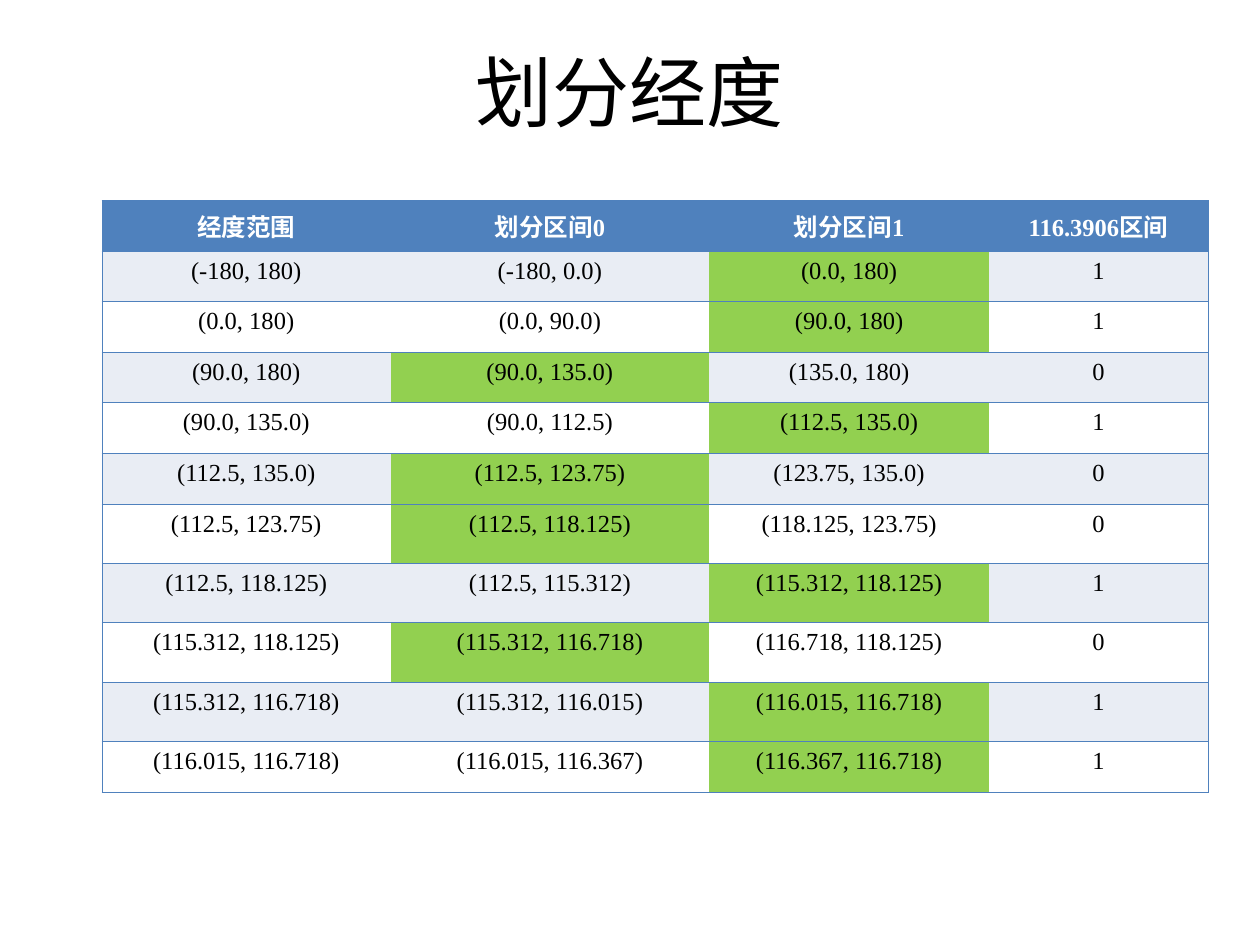
from lxml import etree
from pptx import Presentation, util as u
from pptx.dml.color import RGBColor
from pptx.enum import text as t
from pptx.oxml.ns import qn

BLUE, GREEN, BAND, WHITE, BLACK = "4F81BD", "92D050", "E9EDF4", "FFFFFF", "000000"
PLAIN_TABLE_STYLE = "{2D5ABB26-0587-4C30-8999-92F81FD0307C}"
LONGITUDE = 116.3906
MIDPOINTS = ["0.0", "90.0", "135.0", "112.5", "123.75",
             "118.125", "115.312", "116.718", "116.015", "116.367"]
HEADINGS = ["经度范围", "划分区间0", "划分区间1", f"{LONGITUDE}区间"]
COLUMN_WEIGHTS = [2.29, 2.53, 2.22, 1.74]
ROW_WEIGHTS = [0.4] * 6 + [0.47] * 4 + [0.4]


def colour(value):
    return RGBColor.from_string(value)


def write(frame, content, size, font, color=BLACK, bold=False):
    frame.word_wrap = True
    paragraph = frame.paragraphs[0]
    paragraph.alignment = t.PP_ALIGN.CENTER
    run = paragraph.add_run()
    run.text = content
    run.font.size = u.Pt(size)
    run.font.name = font
    run.font.bold = bold
    run.font.color.rgb = colour(color)


def add_borders(cell, sides):
    """Draw thin blue lines on the sides named by letters of "LRTB", in that order."""
    properties = cell._tc.get_or_add_tcPr()
    for side in sides:
        line = etree.SubElement(properties, qn(f"a:ln{side}"), w=str(u.Pt(0.45)))
        fill = etree.SubElement(line, qn("a:solidFill"))
        etree.SubElement(fill, qn("a:srgbClr"), val=BLUE)


def bisection_rows():
    """Halve the range repeatedly, keeping the half that holds the longitude."""
    low, high = "-180", "180"
    for middle in MIDPOINTS:
        bit = int(LONGITUDE > float(middle))
        yield [f"({low}, {high})", f"({low}, {middle})", f"({middle}, {high})", str(bit)]
        low, high = (middle, high) if bit else (low, middle)


def add_title(slide, box, content):
    title = slide.shapes.title
    title.left, title.top, title.width, title.height = box
    title.text_frame.vertical_anchor = t.MSO_ANCHOR.TOP
    title.text_frame.auto_size = t.MSO_AUTO_SIZE.NONE
    write(title.text_frame, content, 44, "Arial")


def share_out(tracks, weights, total, attribute):
    for track, weight in zip(tracks, weights):
        setattr(track, attribute, int(total * weight / sum(weights)))


def add_bisection_table(slide, box):
    rows = [HEADINGS, *bisection_rows()]
    last = len(HEADINGS) - 1
    table = slide.shapes.add_table(len(rows), len(HEADINGS), *box).table
    table._tbl.tblPr.find(qn("a:tableStyleId")).text = PLAIN_TABLE_STYLE
    share_out(table.columns, COLUMN_WEIGHTS, box[2], "width")
    share_out(table.rows, ROW_WEIGHTS, box[3], "height")
    for r, values in enumerate(rows):
        header = r == 0
        for c, value in enumerate(values):
            cell = table.cell(r, c)
            cell.margin_left = cell.margin_right = u.Inches(0.08)
            cell.margin_top = cell.margin_bottom = u.Inches(0.05)
            cell.vertical_anchor = t.MSO_ANCHOR.MIDDLE if header else t.MSO_ANCHOR.TOP
            add_borders(cell, {0: "LTB", last: "RTB"}.get(c, "TB"))
            if header:
                fill = BLUE
            elif c == int(values[last]) + 1:
                fill = GREEN
            else:
                fill = BAND if r % 2 else WHITE
            cell.fill.solid()
            cell.fill.fore_color.rgb = colour(fill)
            write(cell.text_frame, value, 14, "Times New Roman",
                  color=WHITE if header else BLACK, bold=header)


def main():
    presentation = Presentation()
    presentation.slide_width, presentation.slide_height = u.Inches(10), u.Inches(7.5)
    slide = presentation.slides.add_slide(presentation.slide_layouts[5])
    add_title(slide, [u.Inches(n) for n in (0.5, 0.3, 9, 0.69)], "划分经度")
    add_bisection_table(slide, [u.Inches(n) for n in (0.81, 1.59, 8.78, 4.7)])
    presentation.save("out.pptx")


if __name__ == "__main__":
    main()
